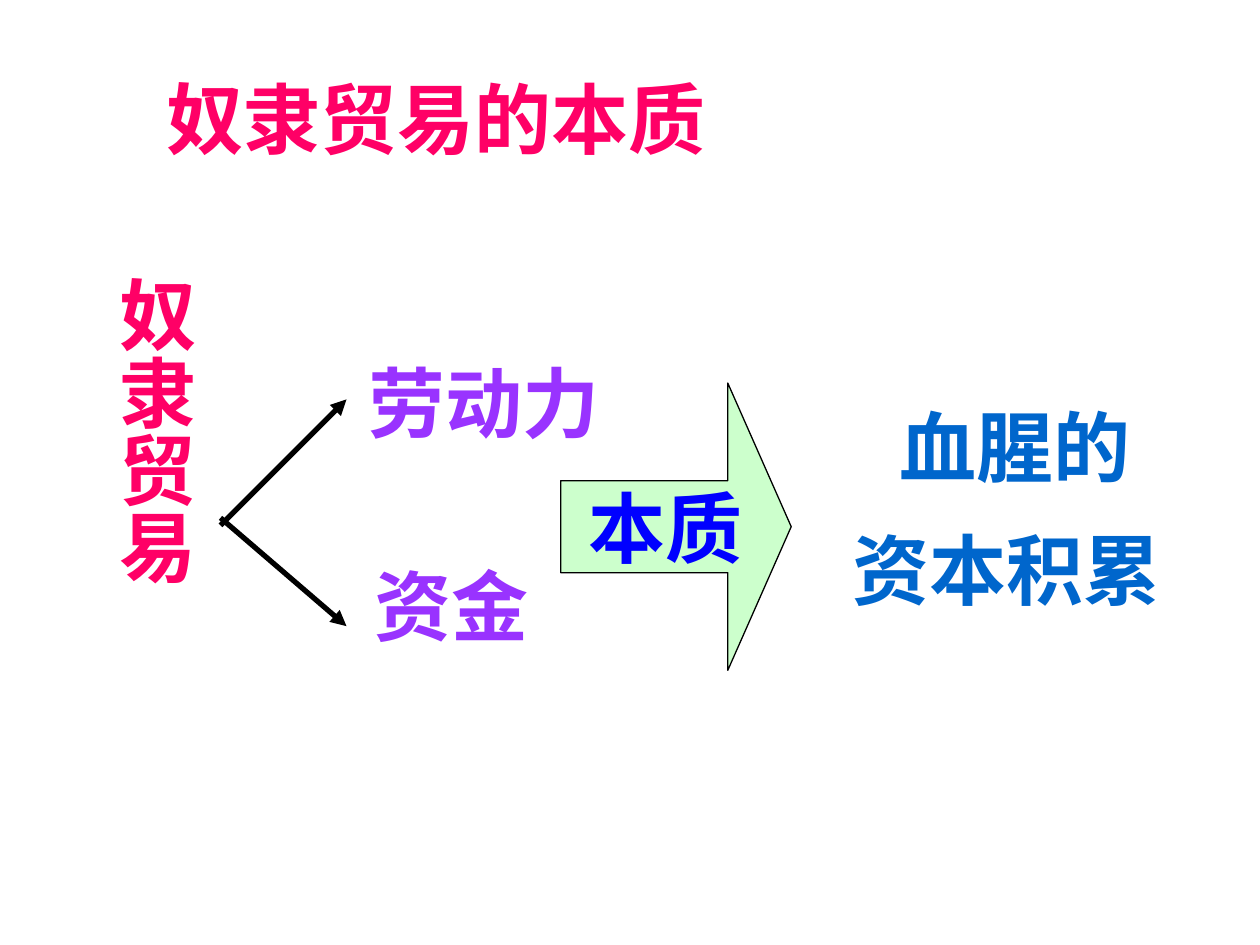
import pptx
import pptx.dml.color
import pptx.enum.shapes
import pptx.enum.text
import pptx.oxml.ns
import pptx.util
from lxml import etree

THEME = {
    "font": "Noto Sans CJK SC",
    "size": 44,
    "gap": 17.5,
    "rule": 3,
    "edge": 0.75,
    "pink": "FF0066",
    "violet": "9933FF",
    "sky": "0066CC",
    "blue": "0000FF",
    "mint": "CCFFCC",
    "black": "000000",
}
COLS, ROWS = 100, 75
WIDE, HIGH = pptx.util.Inches(10), pptx.util.Inches(7.5)

TEXTS = [
    (["血腥的", "资本积累 "], (66.5, 31.2, 28.2, 18.1), "sky", "center", False),
    (["奴隶贸易的本质"], (12.2, 5.2, 67.5, 8.4), "pink", "left", False),
    (["奴隶贸易"], (7.2, 21, 9.3, 37.8), "pink", "center", True),
    (["劳动力"], (28.3, 27.7, 20.8, 8.4), "violet", "left", False),
    (["资金"], (28.7, 43.8, 16.5, 8.4), "violet", "left", False),
]
LINES = [(17.5, 41.7, 27.5, 31.7), (17.5, 41.1, 27.5, 49.7)]
ARROW = ("本质", (44.5, 30.4, 18.3, 22.8), (0.32, 0.275))


def place(box):
    return [round(part * full / count) for part, full, count in
            zip(box, (WIDE, HIGH) * 2, (COLS, ROWS) * 2)]


def tint(name):
    return pptx.dml.color.RGBColor.from_string(THEME[name])


def tag(node, name, **attrs):
    return etree.SubElement(node, pptx.oxml.ns.qn(name), **attrs)


def write(frame, rows, color, align):
    frame.text = "\n".join(rows)
    for i, para in enumerate(frame.paragraphs):
        para.alignment = getattr(pptx.enum.text.PP_ALIGN, align.upper())
        if i:
            para.space_before = pptx.util.Pt(THEME["gap"])
        font = para.font
        font.name = THEME["font"]
        font.size = pptx.util.Pt(THEME["size"])
        font.bold = True
        font.color.rgb = tint(color)
        for run in para.runs:
            tag(run.font._element, "a:ea", typeface=THEME["font"])


def add_text(slide, rows, box, color, align, stand):
    frame = slide.shapes.add_textbox(*place(box)).text_frame
    frame.word_wrap = True
    if stand:
        frame._txBody.bodyPr.set("vert", "eaVert")
        frame.margin_left = frame.margin_right = pptx.util.Inches(0.05)
        frame.margin_top = frame.margin_bottom = pptx.util.Inches(0.1)
    write(frame, rows, color, align)


def add_line(slide, ends):
    kind = pptx.enum.shapes.MSO_CONNECTOR.STRAIGHT
    link = slide.shapes.add_connector(kind, *place(ends))
    link.line.color.rgb = tint("black")
    link.line.width = pptx.util.Pt(THEME["rule"])
    tag(link.line._get_or_add_ln(), "a:tailEnd", type="triangle")
    tag(link._element.spPr, "a:effectLst")


def add_arrow(slide, text, box, bends):
    kind = pptx.enum.shapes.MSO_SHAPE.RIGHT_ARROW
    shape = slide.shapes.add_shape(kind, *place(box))
    shape.shadow.inherit = False
    for i, bend in enumerate(bends):
        shape.adjustments[i] = bend
    shape.fill.solid()
    shape.fill.fore_color.rgb = tint("mint")
    shape.line.color.rgb = tint("black")
    shape.line.width = pptx.util.Pt(THEME["edge"])
    frame = shape.text_frame
    frame.word_wrap = False
    frame.vertical_anchor = pptx.enum.text.MSO_ANCHOR.MIDDLE
    write(frame, [text], "blue", "center")


def main():
    deck = pptx.Presentation()
    deck.slide_width, deck.slide_height = WIDE, HIGH
    slide = deck.slides.add_slide(deck.slide_layouts[6])
    for item in TEXTS:
        add_text(slide, *item)
    for ends in LINES:
        add_line(slide, ends)
    add_arrow(slide, *ARROW)
    deck.save("out.pptx")


if __name__ == "__main__":
    main()
